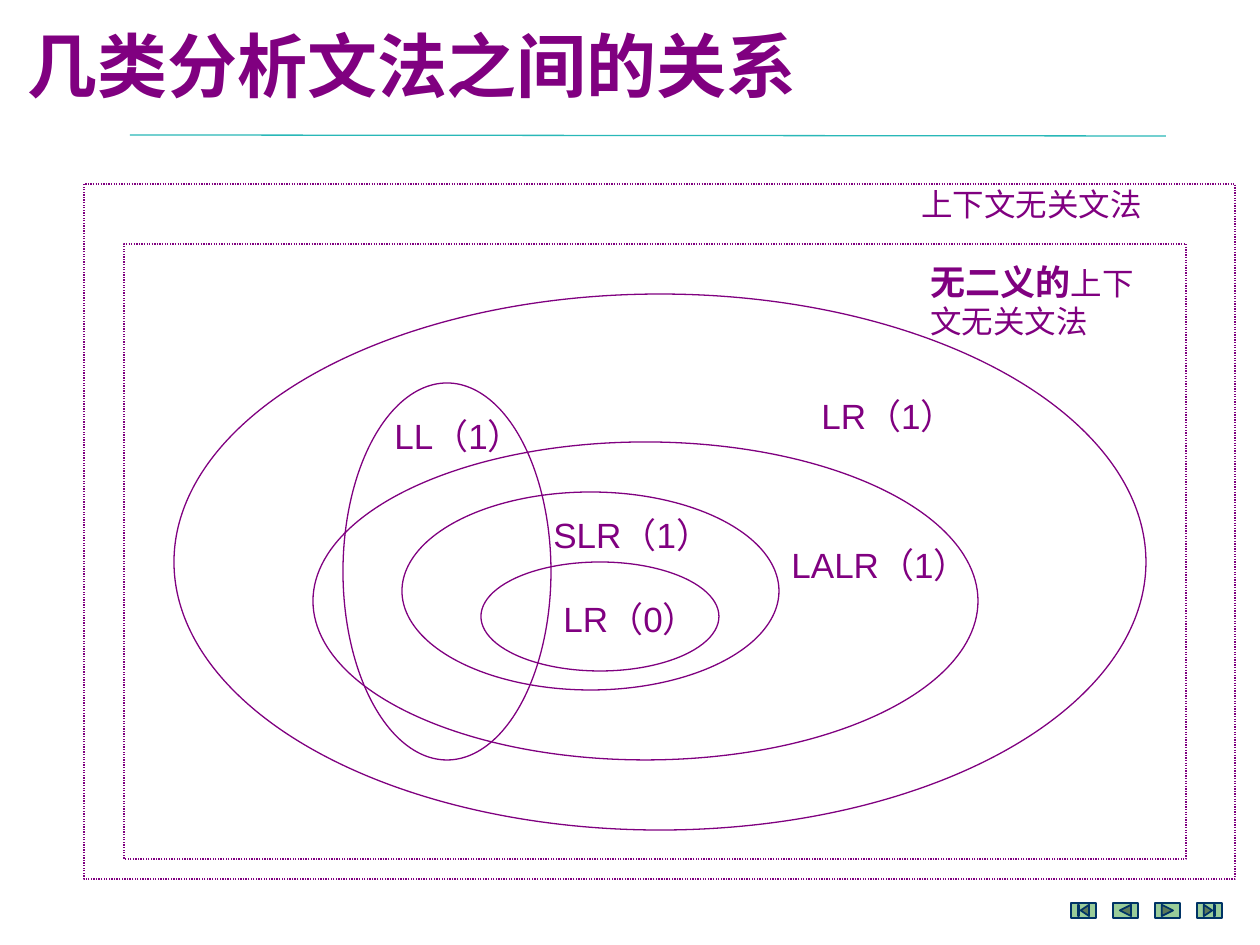
from dataclasses import dataclass

from lxml import etree
from pptx import Presentation
from pptx.dml.color import RGBColor
from pptx.enum.dml import MSO_LINE
from pptx.enum.shapes import MSO_CONNECTOR, MSO_SHAPE
from pptx.enum.text import MSO_AUTO_SIZE, PP_ALIGN
from pptx.oxml.ns import qn
from pptx.util import Emu, Pt

ELLIPSE, RECT = MSO_SHAPE.OVAL, MSO_SHAPE.RECTANGLE
DOTTED = MSO_LINE.ROUND_DOT
CENTER = PP_ALIGN.CENTER
FIT_TEXT = MSO_AUTO_SIZE.SHAPE_TO_FIT_TEXT


@dataclass(frozen=True)
class Theme:
    font: str = "Arial"
    purple: RGBColor = RGBColor(0x80, 0x00, 0x80)
    teal: RGBColor = RGBColor(0x29, 0xB8, 0xB8)
    button: RGBColor = RGBColor(0x99, 0xCC, 0x99)
    button_edge: RGBColor = RGBColor(0x00, 0x33, 0x66)
    title_size: int = 40
    class_size: int = 20
    outer_size: int = 18
    thin: float = 0.75
    button_line: float = 1


THEME = Theme()
SLIDE_SIZE = (1260, 945)

TITLE = ("几类分析文法之间的关系", (5, 26, 814, 88))
TITLE_RULE = (130, 135, 1166, 136)

# Grammar classes, innermost first: outline box, label, label box
GRAMMAR_CLASSES = [
    ((481, 562, 238, 109), "LR（0）", (551, 591, 169, 54)),
    ((402, 492, 377, 198), "SLR（1）", (541, 507, 189, 54)),
    ((313, 442, 665, 318), "LALR（1）", (779, 537, 208, 54)),
    ((174, 294, 972, 536), "LR（1）", (809, 388, 175, 54)),
    ((343, 383, 208, 377), "LL（1）", (382, 408, 170, 54)),
]

# Enclosing families: frame box, label parts (text, size, bold), label box
FAMILIES = [
    ((124, 244, 1062, 615),
     [("无二义的", THEME.class_size, True), ("上下文无关文法", THEME.outer_size, False)],
     (918, 254, 258, 93)),
    ((84, 184, 1151, 695),
     [("上下文无关文法", THEME.outer_size, False)],
     (909, 179, 258, 50)),
]

BUTTONS = [
    MSO_SHAPE.ACTION_BUTTON_BEGINNING,
    MSO_SHAPE.ACTION_BUTTON_BACK_OR_PREVIOUS,
    MSO_SHAPE.ACTION_BUTTON_FORWARD_OR_NEXT,
    MSO_SHAPE.ACTION_BUTTON_END,
]
BUTTON_BOX, BUTTON_PITCH = (1071, 903, 25, 15), 42


def px(*lengths):
    return [Emu(round(length * 914400 / 126)) for length in lengths]


def add_outline(slide, kind, box, dash=None):
    outline = slide.shapes.add_shape(kind, *px(*box))
    outline.shadow.inherit = False
    outline.fill.background()
    outline.line.color.rgb = THEME.purple
    outline.line.width = Pt(THEME.thin)
    if dash:
        outline.line.dash_style = dash


def add_label(slide, parts, box):
    """Add a wrapped one-paragraph box of (text, size, bold) parts and return the paragraph."""
    frame = slide.shapes.add_textbox(*px(*box)).text_frame
    frame.word_wrap = True
    frame.auto_size = FIT_TEXT
    paragraph = frame.paragraphs[0]
    paragraph.font.name = THEME.font
    paragraph.font.color.rgb = THEME.purple
    for text, size, bold in parts:
        run = paragraph.add_run()
        run.text = text
        run.font.size = Pt(size)
        run.font.bold = bold
    return paragraph


def add_title(slide):
    x1, y1, x2, y2 = px(*TITLE_RULE)
    rule = slide.shapes.add_connector(MSO_CONNECTOR.STRAIGHT, x1, y1, x2, y2)
    rule.line.color.rgb = THEME.teal
    rule.line.width = Pt(THEME.thin)
    etree.SubElement(rule._element.spPr, qn("a:effectLst"))

    text, box = TITLE
    title = add_label(slide, [(text, THEME.title_size, True)], box)
    title.alignment = CENTER
    title.line_spacing = 0.9


def add_buttons(slide):
    left, top, width, height = BUTTON_BOX
    for i, kind in enumerate(BUTTONS):
        button = slide.shapes.add_shape(
            kind, *px(left + i * BUTTON_PITCH, top, width, height))
        button.shadow.inherit = False
        button.fill.solid()
        button.fill.fore_color.rgb = THEME.button
        button.line.color.rgb = THEME.button_edge
        button.line.width = Pt(THEME.button_line)


def main():
    prs = Presentation()
    prs.slide_width, prs.slide_height = px(*SLIDE_SIZE)
    slide = prs.slides.add_slide(prs.slide_layouts[6])

    add_title(slide)
    add_buttons(slide)
    for outline, label, label_box in GRAMMAR_CLASSES:
        add_outline(slide, ELLIPSE, outline)
        add_label(slide, [(label, THEME.class_size, False)], label_box)
    for frame, parts, label_box in FAMILIES:
        add_outline(slide, RECT, frame, DOTTED)
        add_label(slide, parts, label_box)

    prs.save("out.pptx")


if __name__ == "__main__":
    main()
